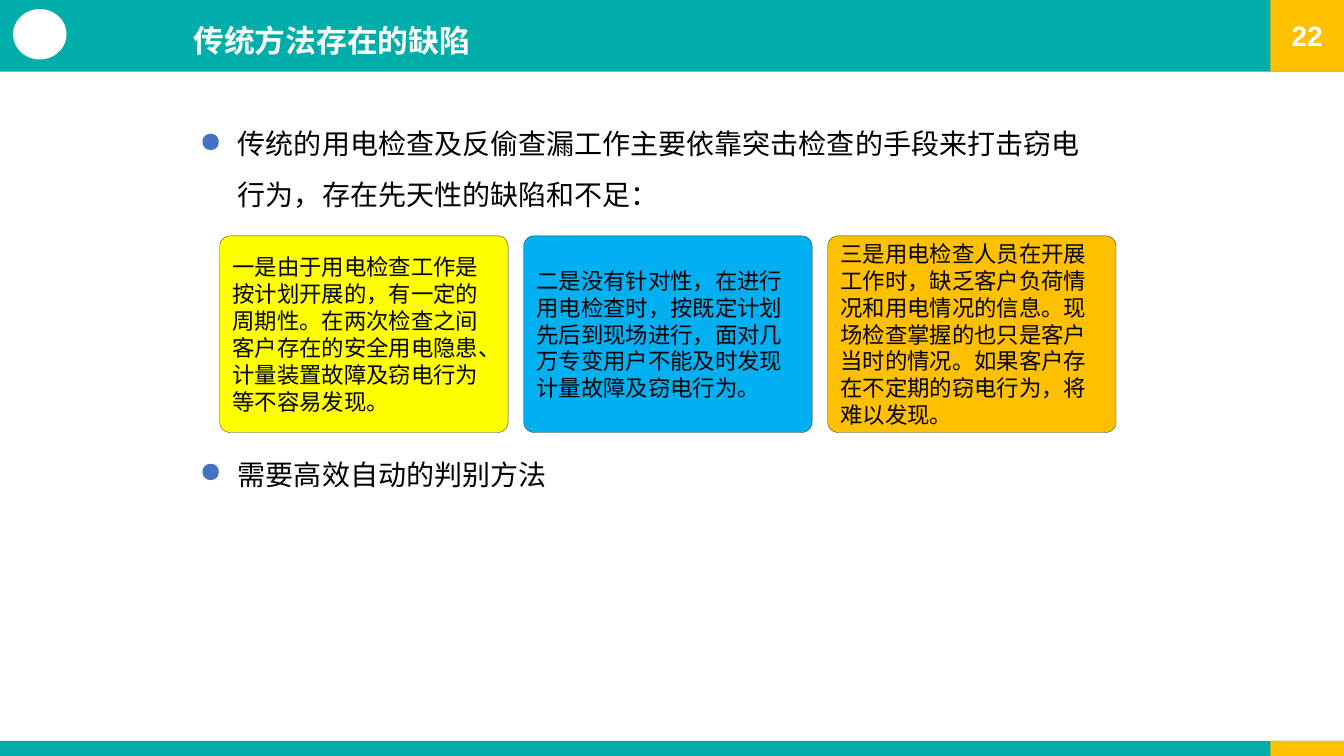
from pptx import Presentation
from pptx.dml.color import RGBColor
from pptx.enum.shapes import MSO_SHAPE
from pptx.enum.text import MSO_ANCHOR, PP_ALIGN
from pptx.util import Inches, Pt
from lxml.etree import SubElement
from pptx.oxml.ns import qn

TEAL = RGBColor(0x00, 0xAE, 0xA9)
AMBER = RGBColor(0xFF, 0xC0, 0x00)
YELLOW = RGBColor(0xFF, 0xFF, 0x00)
SKY = RGBColor(0x00, 0xB0, 0xF0)
OUTLINE = RGBColor(0x37, 0x37, 0x37)
WHITE = RGBColor(0xFF, 0xFF, 0xFF)
BLACK = RGBColor(0x00, 0x00, 0x00)
BULLET = "4472C4"

deck = Presentation()
deck.slide_width = Inches(13.33)
deck.slide_height = Inches(7.5)
slide = deck.slides.add_slide(deck.slide_layouts[6])


def add_block(kind, left, top, width, height, color):
    block = slide.shapes.add_shape(
        kind, Inches(left), Inches(top), Inches(width), Inches(height))
    block.shadow.inherit = False
    block.fill.solid()
    block.fill.fore_color.rgb = color
    block.line.fill.background()
    return block


def style(paragraph, size, color, font="Arial", bold=False):
    for run in paragraph.runs:
        run.font.name = font
        run.font.size = Pt(size)
        run.font.bold = bold
        run.font.color.rgb = color


corner_left, corner_width = 12.6, 0.73
for top, height in ((7.35, 0.15), (0, 0.71)):
    add_block(MSO_SHAPE.RECTANGLE, 0, top, 13.33, height, TEAL)
    page_corner = add_block(
        MSO_SHAPE.RECTANGLE, corner_left, top, corner_width, height, AMBER)

page_corner.text_frame.text = "22"
page_corner.text_frame.vertical_anchor = MSO_ANCHOR.MIDDLE
page_number = page_corner.text_frame.paragraphs[0]
page_number.alignment = PP_ALIGN.CENTER
style(page_number, 20, WHITE, bold=True)

add_block(MSO_SHAPE.OVAL, 0.13, 0.09, 0.53, 0.5, WHITE)

title = slide.shapes.add_textbox(
    Inches(1.82), Inches(0.17), Inches(9.1), Inches(0.47)).text_frame
title.word_wrap = True
title.vertical_anchor = MSO_ANCHOR.BOTTOM
title.text = "传统方法存在的缺陷"
title.paragraphs[0].line_spacing = 0.9
style(title.paragraphs[0], 22, WHITE, bold=True)

body = slide.shapes.add_textbox(
    Inches(1.98), Inches(1.09), Inches(8.94), Inches(4.44)).text_frame
body.word_wrap = True
body.margin_left = body.margin_right = body.margin_top = body.margin_bottom = 0
body.text = (
    "传统的用电检查及反偷查漏工作主要依靠突击检查的手段来打击窃电行为，存在先天性的缺陷和不足：\n"
    "需要高效自动的判别方法")
for point, space_before in zip(body.paragraphs, (0, 164)):
    point.line_spacing = 1.5
    point.space_before = Pt(space_before)
    properties = point._p.get_or_add_pPr()
    properties.set("marL", str(Inches(0.38)))
    properties.set("indent", str(-Inches(0.38)))
    bullet_color = SubElement(properties, qn("a:buClr"))
    SubElement(bullet_color, qn("a:srgbClr"), val=BULLET)
    SubElement(properties, qn("a:buChar"), char="●")
    style(point, 20, BLACK, font="Noto Sans CJK SC")

defects = (
    (YELLOW, "一是由于用电检查工作是按计划开展的，有一定的周期性。在两次检查之间客户存在的安全用电隐患、计量装置故障及窃电行为等不容易发现。"),
    (SKY, "二是没有针对性，在进行用电检查时，按既定计划先后到现场进行，面对几万专变用户不能及时发现计量故障及窃电行为。"),
    (AMBER, "三是用电检查人员在开展工作时，缺乏客户负荷情况和用电情况的信息。现场检查掌握的也只是客户当时的情况。如果客户存在不定期的窃电行为，将难以发现。"),
)
card_left, card_width, card_gap = 2.18, 2.86, 0.155
for column, (color, wording) in enumerate(defects):
    card = add_block(
        MSO_SHAPE.ROUNDED_RECTANGLE,
        card_left + column * (card_width + card_gap), 2.34, card_width, 1.95, color)
    card.adjustments[0] = 0.052
    card.line.color.rgb = OUTLINE
    card.line.width = Pt(0.25)
    card.text_frame.word_wrap = True
    card.text_frame.vertical_anchor = MSO_ANCHOR.MIDDLE
    card.text_frame.text = wording
    card.text_frame.paragraphs[0].alignment = PP_ALIGN.LEFT
    style(card.text_frame.paragraphs[0], 16, BLACK)

deck.save("out.pptx")
